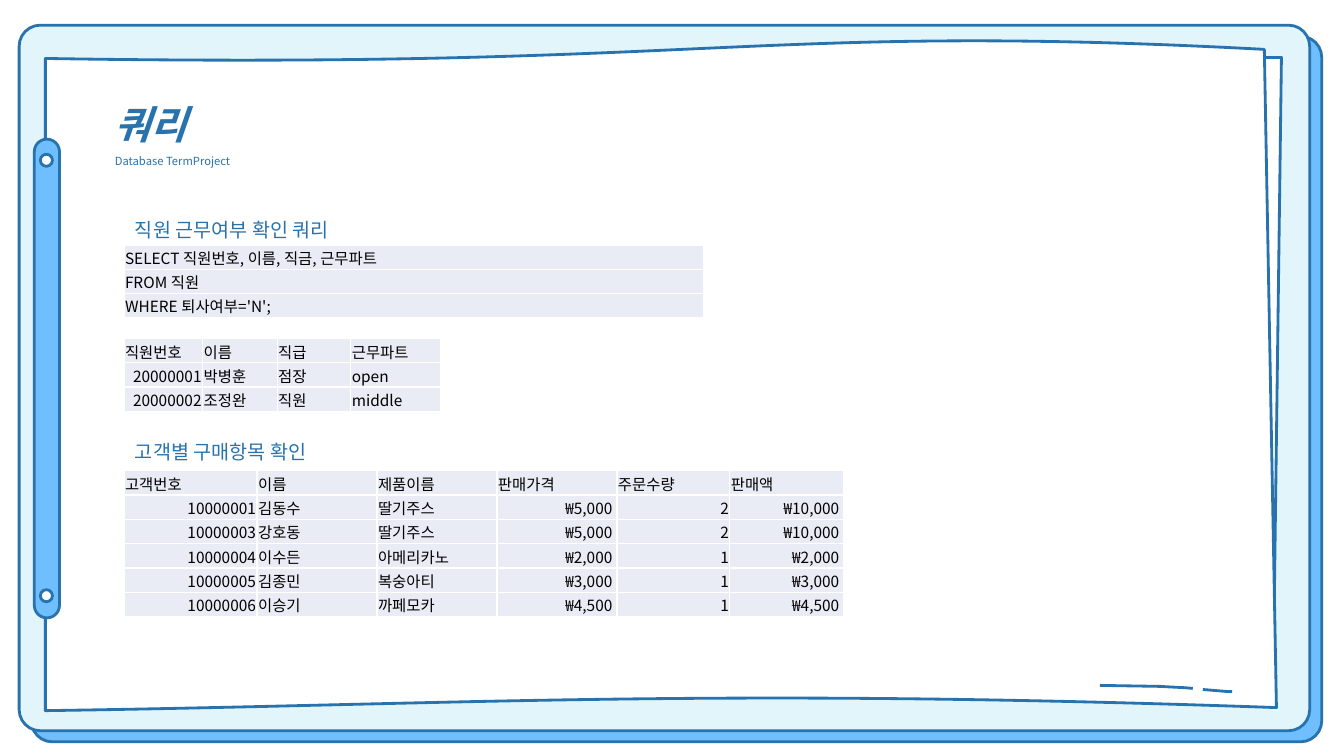
"""Builds the query slide: a clipboard frame, two headings and three tables."""
from dataclasses import dataclass
from typing import Optional

from lxml import etree
from pptx import Presentation
from pptx import util as u
from pptx.dml.color import RGBColor
from pptx.enum import shapes, text
from pptx.oxml import ns

SCALE = 9144


@dataclass(frozen=True)
class Theme:
    font: str = "Noto Sans CJK KR"
    blue: str = "2873AE"
    sky: str = "6FBEFE"
    ice: str = "E1F5FB"
    white: str = "FFFFFF"
    black: str = "000000"
    band: str = "E9EBF5"
    title: int = 28
    head: int = 14
    cell: int = 11
    small: int = 8
    line: int = 2
    rule: int = 1


@dataclass(frozen=True)
class Box:
    left: int
    top: int
    width: int
    height: int


@dataclass(frozen=True)
class Part:
    kind: shapes.MSO_SHAPE
    box: Box
    fill: str
    round: Optional[float] = None


@dataclass(frozen=True)
class Outline:
    box: Box
    start: tuple
    moves: tuple
    fill: Optional[str] = None


@dataclass(frozen=True)
class Line:
    words: str
    size: int
    strong: bool = False


@dataclass(frozen=True)
class Note:
    box: Box
    lines: tuple


@dataclass(frozen=True)
class Grid:
    left: int
    top: int
    height: int
    cols: tuple
    rows: tuple


THEME = Theme()
ROUND, OVAL = shapes.MSO_SHAPE.ROUNDED_RECTANGLE, shapes.MSO_SHAPE.OVAL

FRAME = (
    Part(ROUND, Box(31, 36, 1280, 700), THEME.sky, 0.03),
    Part(ROUND, Box(19, 25, 1280, 700), THEME.ice, 0.03),
    Outline(Box(1238, 57, 33, 534), (1238, 57),
            ((1264, 591), (1271, 57), (1238, 57)), THEME.white),
    Outline(Box(45, 40, 1221, 665), (45, 58),
            ((713, 69, 746, 22, 1254, 49), (1266, 702),
             (698, 682, 463, 699, 45, 705), (45, 58)), THEME.white),
    Part(ROUND, Box(34, 138, 25, 475), THEME.sky, 0.5),
    Part(OVAL, Box(40, 153, 12, 12), THEME.white),
    Part(OVAL, Box(40, 585, 12, 12), THEME.white),
    Outline(Box(1091, 680, 92, 3), (1091, 680),
            ((1151, 681), (1166, 682, 1174, 682, 1183, 683))),
    Outline(Box(1193, 684, 29, 2), (1193, 684),
            ((1217, 686), (1222, 686, 1222, 686, 1222, 686))),
)
NOTES = (
    Note(Box(104, 76, 452, 88), (Line("쿼리", THEME.title, True),
                                 Line("Database TermProject", THEME.small))),
    Note(Box(124, 205, 452, 31), (Line("직원 근무여부 확인 쿼리", THEME.head),)),
    Note(Box(124, 425, 452, 31), (Line("고객별 구매항목 확인", THEME.head),)),
)
SALES = (
    (10000001, "김동수", "딸기주스", 5000, 2),
    (10000003, "강호동", "딸기주스", 5000, 2),
    (10000004, "이수든", "아메리카노", 2000, 1),
    (10000005, "김종민", "복숭아티", 3000, 1),
    (10000006, "이승기", "까페모카", 4500, 1),
)
GRIDS = (
    Grid(123, 243, 72, (575,), (("SELECT 직원번호, 이름, 직금, 근무파트",),
                                ("FROM 직원",), ("WHERE 퇴사여부='N';",))),
    Grid(123, 336, 72, (78, 74, 73, 89), (("직원번호", "이름", "직급", "근무파트"),
                                          (20000001, "박병훈", "점장", "open"),
                                          (20000002, "조정완", "직원", "middle"))),
    Grid(123, 467, 145, (132, 119, 119, 119, 112, 113),
         (("고객번호", "이름", "제품이름", "판매가격", "주문수량", "판매액"),
          *((code, name, item, f"₩{price:,} ", count, f"₩{price * count:,} ")
            for code, name, item, price, count in SALES))),
)


def px(size: float) -> u.Emu:
    """Turn px into EMU."""
    return u.Emu(round(size * SCALE))


def place(box: Box) -> tuple:
    """Give the left, top, width and height of a box in EMU."""
    return px(box.left), px(box.top), px(box.width), px(box.height)


def paint(shape, fill: Optional[str]) -> None:
    """Set the fill and the blue edge of a shape."""
    shape.shadow.inherit = False
    if fill:
        shape.fill.solid()
        shape.fill.fore_color.rgb = RGBColor.from_string(fill)
    else:
        shape.fill.background()
    shape.line.color.rgb = RGBColor.from_string(THEME.blue)
    shape.line.width = u.Pt(THEME.line)


def draw_part(group, part: Part) -> None:
    """Draw one preset shape."""
    shape = group.shapes.add_shape(part.kind, *place(part.box))
    if part.round is not None:
        shape.adjustments[0] = part.round
    paint(shape, part.fill)


def draw_path(group, outline: Outline) -> None:
    """Draw one free outline of lines and cubic curves."""
    box = outline.box
    form = group.shapes.build_freeform(*outline.start, scale=SCALE)
    form.add_line_segments([move[-2:] for move in outline.moves],
                           close=outline.fill is not None)
    shape = form.convert_to_shape()
    shape.left, shape.top, shape.width, shape.height = place(box)
    track = next(shape._element.iter(ns.qn("a:path")))
    track.set("w", str(box.width))
    track.set("h", str(box.height))
    for step, move in zip(list(track), (outline.start, *outline.moves)):
        if len(move) > 2:
            bend = etree.Element(ns.qn("a:cubicBezTo"))
            track.replace(step, bend)
            step = bend
        for old in list(step):
            step.remove(old)
        for x, y in zip(move[::2], move[1::2]):
            etree.SubElement(step, ns.qn("a:pt"),
                             x=str(x - box.left), y=str(y - box.top))
    paint(shape, outline.fill)


def write(para, line: Line, color: str) -> None:
    """Add one run to a paragraph."""
    run = para.add_run()
    run.text = line.words
    font = run.font
    font.name, font.size = THEME.font, u.Pt(line.size)
    font.bold = font.italic = line.strong
    font.color.rgb = RGBColor.from_string(color)
    east = etree.Element(ns.qn("a:ea"), typeface=THEME.font)
    run._r.rPr.find(ns.qn("a:latin")).addnext(east)


def draw_note(slide, note: Note) -> None:
    """Draw one text box."""
    frame = slide.shapes.add_textbox(*place(note.box)).text_frame
    frame.word_wrap = True
    frame.auto_size = text.MSO_AUTO_SIZE.SHAPE_TO_FIT_TEXT
    frame.margin_left = frame.margin_right = px(10)
    frame.margin_top = frame.margin_bottom = 0
    for i, line in enumerate(note.lines):
        para = frame.add_paragraph() if i else frame.paragraphs[0]
        para.line_spacing = 1.5
        write(para, line, THEME.blue)


def rule(cell) -> None:
    """Give a cell its white borders."""
    props = cell._tc.get_or_add_tcPr()
    for i, side in enumerate("LRTB"):
        edge = etree.Element(ns.qn(f"a:ln{side}"), w=str(u.Pt(THEME.rule)))
        fill = etree.SubElement(edge, ns.qn("a:solidFill"))
        etree.SubElement(fill, ns.qn("a:srgbClr"), val=THEME.white)
        props.insert(i, edge)


def draw_cell(cell, value) -> None:
    """Fill one cell, with numbers and prices on the right."""
    cell.fill.solid()
    cell.fill.fore_color.rgb = RGBColor.from_string(THEME.band)
    cell.vertical_anchor = text.MSO_ANCHOR.MIDDLE
    cell.margin_left = cell.margin_right = cell.margin_top = px(1)
    cell.margin_bottom = 0
    rule(cell)
    words = str(value)
    para = cell.text_frame.paragraphs[0]
    if isinstance(value, int) or words.startswith("₩"):
        para.alignment = text.PP_ALIGN.RIGHT
    write(para, Line(words, THEME.cell), THEME.black)


def draw_grid(slide, grid: Grid) -> None:
    """Draw one table."""
    box = Box(grid.left, grid.top, sum(grid.cols), grid.height)
    table = slide.shapes.add_table(len(grid.rows), len(grid.cols), *place(box)).table
    table.first_row = table.horz_banding = False
    for col, width in zip(table.columns, grid.cols):
        col.width = px(width)
    for row, values in zip(table.rows, grid.rows):
        row.height = px(grid.height / len(grid.rows))
        for cell, value in zip(row.cells, values):
            draw_cell(cell, value)


def main() -> None:
    """Build and save the slide."""
    deck = Presentation()
    deck.slide_width, deck.slide_height = px(1333), px(750)
    slide = deck.slides.add_slide(deck.slide_layouts[6])
    group = slide.shapes.add_group_shape()
    for item in FRAME:
        (draw_part if isinstance(item, Part) else draw_path)(group, item)
    for note in NOTES:
        draw_note(slide, note)
    for grid in GRIDS:
        draw_grid(slide, grid)
    deck.save("out.pptx")


if __name__ == "__main__":
    main()
